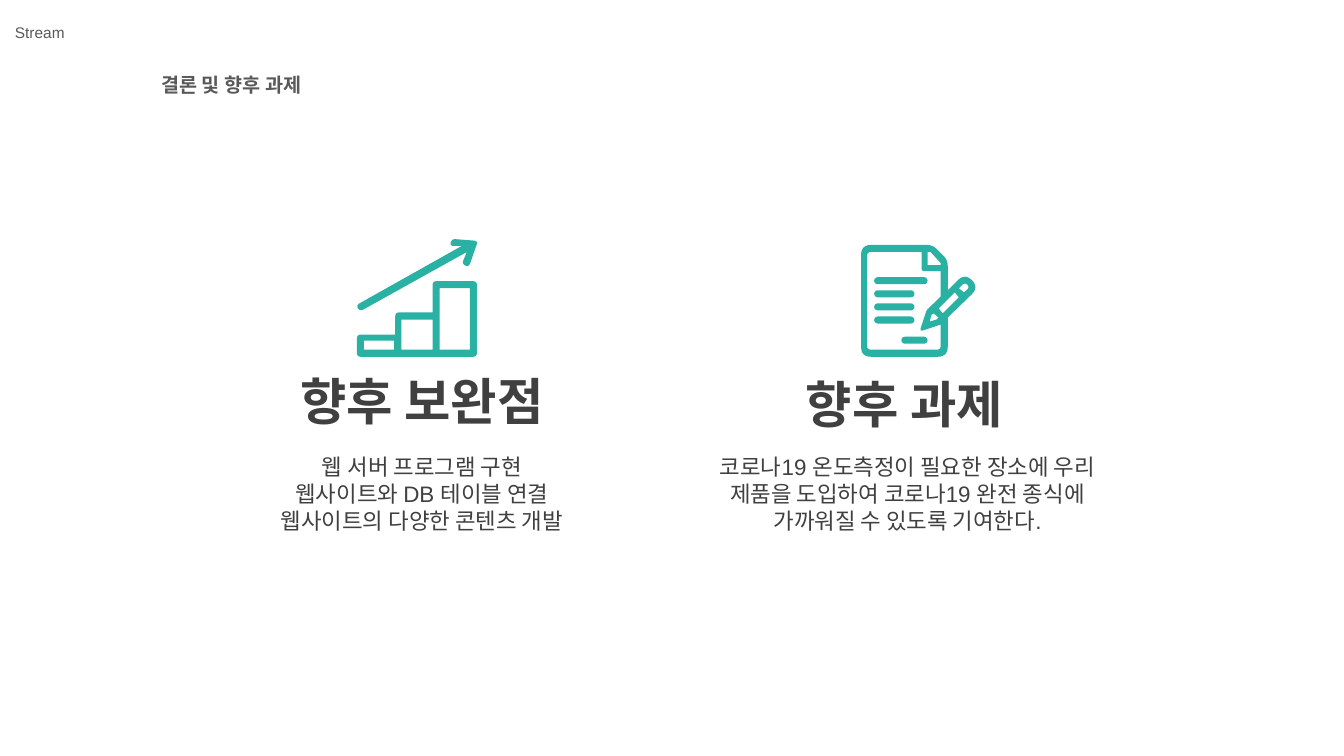
from math import hypot

from pptx import Presentation
from pptx.dml.color import RGBColor
from pptx.enum.shapes import MSO_SHAPE
from pptx.enum.text import MSO_ANCHOR, PP_ALIGN
from pptx.util import Inches, Pt

TEAL = RGBColor(0x29, 0xB1, 0xA3)
DARK = RGBColor(0x40, 0x40, 0x40)
GRAY = RGBColor(0x59, 0x59, 0x59)

# Outlines: each point is x, y and an optional corner radius
STAIRS = [(3.54, 3.54, .04), (3.54, 3.32, .04), (3.92, 3.32), (3.92, 3.1, .04),
          (4.29, 3.1), (4.29, 2.79, .04), (4.73, 2.79, .04), (4.73, 3.54, .04)]
ARROW = [(4.51, 2.44), (4.46, 2.44, .04), (4.48, 2.37, .04), (4.74, 2.39, .04),
         (4.65, 2.65, .04), (4.58, 2.62, .04), (4.63, 2.5), (3.57, 3.09, .04),
         (3.53, 3.03, .04), (4.58, 2.44)]
PAGE = [(8.54, 2.43, .1), (9.25, 2.43, .06), (9.4, 2.58, .06), (9.4, 2.88),
        (9.57, 2.71, .1), (9.71, 2.85, .1), (9.4, 3.15), (9.4, 3.54, .1),
        (8.54, 3.54, .1)]
INSIDE = [(8.6, 2.5, .04), (9.14, 2.5), (9.14, 2.69, .03), (9.33, 2.69),
          (9.33, 2.94), (9.19, 3.08, .01), (9.12, 3.29, .04), (9.33, 3.22),
          (9.33, 3.47, .04), (8.6, 3.47, .04)]
FOLD = [(9.2, 2.5), (9.23, 2.5), (9.33, 2.61), (9.33, 2.63), (9.2, 2.63)]
TIP = [(9.26, 3.11), (9.31, 3.15), (9.29, 3.17), (9.22, 3.19), (9.24, 3.12)]
SHAFT = [(9.35, 3.11), (9.31, 3.06), (9.47, 2.9), (9.51, 2.95)]
CAP = [(9.56, 2.9), (9.51, 2.86), (9.57, 2.8, .04), (9.62, 2.85, .04)]


def rect(left, top, right, low):
    return [(left, top), (right, top), (right, low), (left, low)]


def smooth(points, steps=6):
    """Turn every corner that has a radius into a short curve."""
    result = []
    for i, (x, y, *radius) in enumerate(points):
        if not radius:
            result.append((x, y))
            continue
        ends = []
        for near in (points[i - 1], points[(i + 1) % len(points)]):
            dx, dy = near[0] - x, near[1] - y
            part = radius[0] / hypot(dx, dy)
            ends.append((x + dx * part, y + dy * part))
        (ax, ay), (bx, by) = ends
        for step in range(steps + 1):
            t = step / steps
            a, m, b = (1 - t) ** 2, 2 * t * (1 - t), t * t
            result.append((a * ax + m * x + b * bx, a * ay + m * y + b * by))
    return [(Inches(x), Inches(y)) for x, y in result]


class Board:
    font = "Arial"

    def __init__(self, deck):
        self.slide = deck.slides.add_slide(deck.slide_layouts[5])
        self.shapes = self.slide.shapes

    def letter(self, shape, lines, size, color, bold=False, align=PP_ALIGN.CENTER):
        frame = shape.text_frame
        frame.word_wrap = True
        frame.vertical_anchor = MSO_ANCHOR.TOP
        for i, line in enumerate(lines):
            para = frame.add_paragraph() if i else frame.paragraphs[0]
            para.alignment = align
            run = para.add_run()
            run.text = line
            font = run.font
            font.name, font.size, font.bold = self.font, Pt(size), bold
            font.color.rgb = color

    def title(self, box, text):
        shape = self.shapes.title
        shape.left, shape.top, shape.width, shape.height = map(Inches, box)
        self.letter(shape, [text], 14, GRAY, True, PP_ALIGN.LEFT)

    def text(self, box, lines, size, color, **style):
        shape = self.shapes.add_textbox(*map(Inches, box))
        self.letter(shape, lines, size, color, **style)

    def paint(self, shape):
        shape.shadow.inherit = False
        shape.fill.solid()
        shape.fill.fore_color.rgb = TEAL
        shape.line.fill.background()

    def icon(self, *outlines):
        first, *rest = map(smooth, outlines)
        pen = self.shapes.build_freeform(*first[0], scale=1.0)
        pen.add_line_segments(first[1:], close=True)
        for points in rest:
            pen.move_to(*points[0])
            pen.add_line_segments(points[1:], close=True)
        self.paint(pen.convert_to_shape())

    def bar(self, left, top, width):
        box = map(Inches, (left, top, width, .07))
        shape = self.shapes.add_shape(MSO_SHAPE.ROUNDED_RECTANGLE, *box)
        shape.adjustments[0] = .5
        self.paint(shape)


def main():
    deck = Presentation()
    deck.slide_width, deck.slide_height = Inches(13.33), Inches(7.5)
    board = Board(deck)

    # Header
    board.title((1.5, .67, 10.83, .32), "결론 및 향후 과제")
    board.text((.05, .18, 2.41, .29), ["Stream"], 11, GRAY, align=PP_ALIGN.LEFT)

    # Improvements
    board.text((2.28, 3.62, 3.81, .71), ["향후 보완점"], 36, DARK, bold=True)
    board.text((2.03, 4.45, 4.31, .89),
               ["웹 서버 프로그램 구현", "웹사이트와 DB 테이블 연결",
                "웹사이트의 다양한 콘텐츠 개발"], 16, DARK)
    board.icon(STAIRS, rect(3.61, 3.38, 3.91, 3.47), rect(3.98, 3.17, 4.29, 3.47),
               rect(4.36, 2.86, 4.66, 3.47), ARROW)

    # Next tasks
    board.text((7.79, 3.65, 2.36, .7), ["향후 과제"], 36, DARK, bold=True)
    board.text((6.84, 4.45, 4.32, .89),
               ["코로나19 온도측정이 필요한 장소에 우리 제품을 도입하여 코로나19 완전 종식에",
                "가까워질 수 있도록 기여한다."], 16, DARK)
    board.icon(PAGE, INSIDE, FOLD, TIP, SHAFT, CAP)
    for row, width in enumerate((.53, .4, .4, .4)):
        board.bar(8.67, 2.75 + .13 * row, width)
    board.bar(8.94, 3.34, .26)

    deck.save("out.pptx")


if __name__ == "__main__":
    main()
